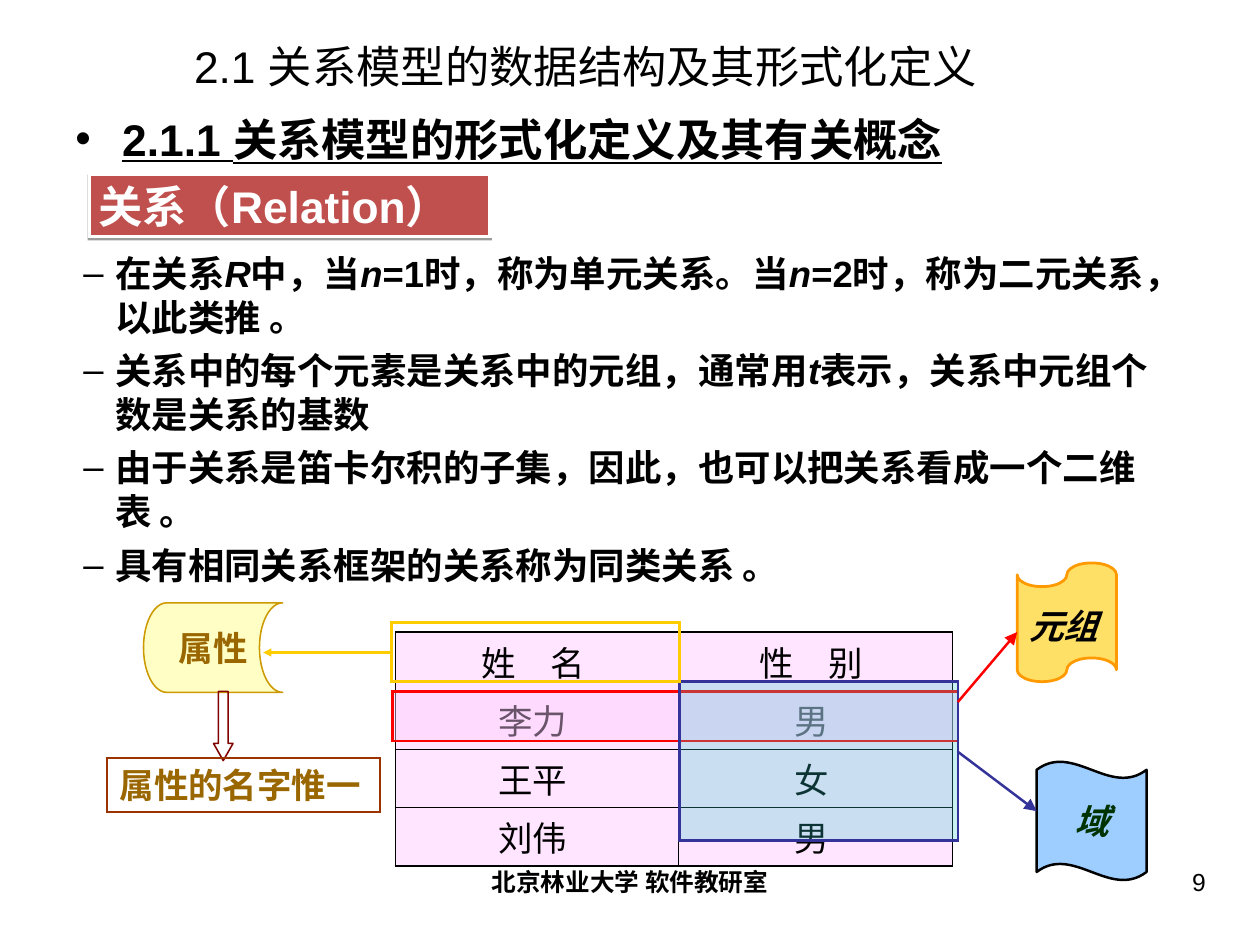
import pptx
import pptx.util
import pptx.dml.color
import pptx.enum.shapes
import pptx.enum.text
import pptx.oxml
import pptx.oxml.ns

Inches, Pt = pptx.util.Inches, pptx.util.Pt
SHAPE = pptx.enum.shapes.MSO_SHAPE
ALIGN = pptx.enum.text.PP_ALIGN
ANCHOR = pptx.enum.text.MSO_ANCHOR
LATIN, CJK = "Arial", "Noto Sans CJK SC"

# Content: *...* marks italic text
TITLE = "2.1 关系模型的数据结构及其形式化定义"
HEADING = "2.1.1 关系模型的形式化定义及其有关概念"
TOPIC = "关系（Relation）"
POINTS = [
    "在关系*R*中，当*n*=1时，称为单元关系。当*n*=2时，称为二元关系，以此类推 。",
    "关系中的每个元素是关系中的元组，通常用*t*表示，关系中元组个数是关系的基数",
    "由于关系是笛卡尔积的子集，因此，也可以把关系看成一个二维表 。",
    "具有相同关系框架的关系称为同类关系 。",
]
ROWS = [("姓　名", "性　别"), ("李力", "男"), ("王平", "女"), ("刘伟", "男")]
FOOTER, NUMBER = "北京林业大学 软件教研室", "9"

# Table geometry
TABLE_LEFT, TABLE_TOP, ROW_H = 4.46, 7.13, 0.66
COL_WIDTHS = [3.2, 3.09]

# Shapes: name -> kind, box, fill, opacity, line, line width
SHAPES = {
    "tape": (SHAPE.FLOWCHART_PUNCHED_TAPE, (11.48, 6.35, 1.12, 1.34), "FFCC00", 60, "FF9900", 2.25),
    "tuple row": (SHAPE.RECTANGLE, (4.43, 7.8, 6.38, 0.56), "FFCCFF", 41, "FF0000", 2),
    "domain column": (SHAPE.RECTANGLE, (7.67, 7.69, 3.14, 1.79), "33CCCC", 26, "333399", 2),
    "domain": (SHAPE.WAVE, (11.7, 8.59, 1.24, 1.34), "99CCFF", 95, "000000", 2),
    "attribute cell": (SHAPE.RECTANGLE, (4.42, 7.02, 3.25, 0.67), None, 100, "FFCC00", 2.25),
    "attribute": (SHAPE.FLOWCHART_STORED_DATA, (1.62, 6.8, 1.57, 1.01), "FFFF99", 57, "CC9900", 1.25),
    "down arrow": (SHAPE.DOWN_ARROW, (2.41, 7.8, 0.22, 0.78), None, 100, "800000", 1.25),
    "unique name": (SHAPE.RECTANGLE, (1.21, 8.55, 3.08, 0.61), None, 100, "993300", 2),
    "topic": (SHAPE.RECTANGLE, (1.01, 1.97, 4.52, 0.7), "C0504D", 100, "FFFFFF", 3),
}
ADJUSTMENTS = {"domain": [0.07, 0], "down arrow": [0.5, 0.88]}
# Labels: shape name -> text, format, alignment, anchor
LABELS = {
    "domain": ("*域*", {"size": 28, "color": "003300", "bold": True}, ALIGN.CENTER, ANCHOR.MIDDLE),
    "attribute": ("属性", {"size": 28, "color": "996600", "bold": True}, ALIGN.CENTER, ANCHOR.MIDDLE),
    "unique name": ("属性的名字惟一", {"size": 28, "color": "996600", "bold": True}, ALIGN.LEFT, ANCHOR.TOP),
    "topic": (TOPIC, {"size": 36, "color": "FFFFFF", "bold": True}, ALIGN.LEFT, ANCHOR.TOP),
}
# Arrows: from, to, colour, width, head size
ARROWS = [
    ((10.81, 7.92), (11.48, 7.13), "FF0000", 2, "lg"),
    ((10.81, 8.48), (11.7, 9.15), "333399", 2, "lg"),
    ((4.42, 7.36), (2.97, 7.36), "FFCC00", 2.25, "med"),
]


def rgb(value):
    return pptx.dml.color.RGBColor.from_string(value)


def add_xml(parent, tag, **attrs):
    child = parent.makeelement(pptx.oxml.ns.qn(tag), attrs)
    parent.append(child)
    return child


def set_fill(fill, owner, color, opacity=100):
    if color is None:
        fill.background()
        return
    fill.solid()
    fill.fore_color.rgb = rgb(color)
    if opacity < 100:
        clr = owner.find(pptx.oxml.ns.qn("a:solidFill"))[0]
        add_xml(clr, "a:alpha", val=str(opacity * 1000))


def write(p, text, fmt, font=LATIN):
    for i, piece in enumerate(text.split("*")):
        if not piece:
            continue
        r = p.add_run()
        r.text = piece
        style = {"name": font, "italic": i % 2 == 1, **fmt}
        style["size"] = Pt(style["size"])
        r.font.color.rgb = rgb(style.pop("color", "000000"))
        for key, value in style.items():
            setattr(r.font, key, value)
        add_xml(r._r.get_or_add_rPr(), "a:ea", typeface=CJK)


def set_frame(tf, anchor=ANCHOR.TOP, side=0.14, edge=0.07, wrap=True):
    values = {"word_wrap": wrap, "vertical_anchor": anchor,
              "margin_left": Inches(side), "margin_right": Inches(side),
              "margin_top": Inches(edge), "margin_bottom": Inches(edge)}
    for key, value in values.items():
        setattr(tf, key, value)


def add_text(s, box, lines, fmt, align=ALIGN.LEFT, bullet=None, indent=0):
    tf = s.shapes.add_textbox(*map(Inches, box)).text_frame
    set_frame(tf)
    for i, line in enumerate(lines):
        p = tf.paragraphs[0] if i == 0 else tf.add_paragraph()
        p.alignment = align
        if bullet:
            pPr = p._p.get_or_add_pPr()
            pPr.set("marL", str(Inches(indent)))
            pPr.set("indent", str(-Inches(indent)))
            add_xml(pPr, "a:buFont", typeface=LATIN)
            add_xml(pPr, "a:buChar", char=bullet)
        if i:
            p.space_before = Pt(8)
        write(p, line, fmt)


def add_shape(s, name):
    kind, box, fill, opacity, line, width = SHAPES[name]
    sp = s.shapes.add_shape(kind, *map(Inches, box))
    sp.shadow.inherit = False
    set_fill(sp.fill, sp._element.spPr, fill, opacity)
    sp.line.color.rgb = rgb(line)
    sp.line.width = Pt(width)
    if kind == SHAPE.RECTANGLE:
        add_xml(sp.line._get_or_add_ln(), "a:miter", lim="800000")
    for i, value in enumerate(ADJUSTMENTS.get(name, [])):
        sp.adjustments[i] = value
    if name in LABELS:
        text, fmt, align, anchor = LABELS[name]
        side, edge = (0.1, 0.05) if name == "topic" else (0.14, 0.07)
        set_frame(sp.text_frame, anchor, side, edge, wrap=align == ALIGN.LEFT)
        p = sp.text_frame.paragraphs[0]
        p.alignment = align
        write(p, text, fmt)
    return sp


def add_arrow(s, start, end, color, width, head):
    cn = s.shapes.add_connector(pptx.enum.shapes.MSO_CONNECTOR.STRAIGHT,
                                *map(Inches, start + end))
    cn.line.color.rgb = rgb(color)
    cn.line.width = Pt(width)
    add_xml(cn.line._get_or_add_ln(), "a:tailEnd", type="triangle", w=head, len=head)
    add_xml(cn._element.spPr, "a:effectLst")


def add_relation_table(s):
    n_rows, n_cols = len(ROWS), len(COL_WIDTHS)
    box = (TABLE_LEFT, TABLE_TOP, sum(COL_WIDTHS), ROW_H * n_rows)
    table = s.shapes.add_table(n_rows, n_cols, *map(Inches, box)).table
    table.first_row = table.horz_banding = False
    for col, width in zip(table.columns, COL_WIDTHS):
        col.width = Inches(width)
    for i, row in enumerate(ROWS):
        table.rows[i].height = Inches(ROW_H)
        for j, text in enumerate(row):
            cell = table.cell(i, j)
            cell.margin_left, cell.margin_right = Inches(0.14), Inches(0.23)
            cell.margin_top = cell.margin_bottom = Inches(0.05)
            p = cell.text_frame.paragraphs[0]
            p.alignment = ALIGN.CENTER
            write(p, text, {"size": 28}, CJK)
            # Borders: heavier on the outside
            tcPr = cell._tc.get_or_add_tcPr()
            outer = {"L": j == 0, "R": j == n_cols - 1, "T": i == 0, "B": i == n_rows - 1}
            for side, is_outer in outer.items():
                ln = add_xml(tcPr, "a:ln" + side, w=str(Pt(1.08 if is_outer else 0.45)))
                add_xml(add_xml(ln, "a:solidFill"), "a:srgbClr", val="000000")
            set_fill(cell.fill, tcPr, "FFCCFF", 50)


def main():
    prs = pptx.Presentation()
    prs.slide_width, prs.slide_height = Inches(14.22), Inches(10.66)
    s = prs.slides.add_slide(prs.slide_layouts[5])

    # Title, heading and points
    title = s.shapes.title
    title.left, title.top, title.width, title.height = map(Inches, (2.05, 0.46, 11.83, 0.57))
    set_frame(title.text_frame, ANCHOR.MIDDLE)
    title.text_frame.paragraphs[0].alignment = ALIGN.LEFT
    write(title.text_frame.paragraphs[0], TITLE, {"size": 36})
    add_text(s, (0.71, 1.19, 12.8, 0.89), [HEADING],
             {"size": 36, "bold": True, "underline": True}, bullet="•", indent=0.53)
    add_text(s, (0.8, 2.76, 12.53, 4.06), POINTS,
             {"size": 29.6, "bold": True}, bullet="–", indent=0.36)

    # Footer
    add_text(s, (4.86, 9.71, 4.5, 0.74), [FOOTER], {"size": 20, "bold": True}, ALIGN.CENTER)
    add_text(s, (10.19, 9.71, 3.56, 0.74), [NUMBER], {"size": 20}, ALIGN.RIGHT)

    # Table with its call-outs
    add_relation_table(s)
    shapes = {name: add_shape(s, name) for name in SHAPES}
    for arrow in ARROWS:
        add_arrow(s, *arrow)
    add_text(s, (11.48, 6.76, 1.23, 0.61), ["*元组*"], {"size": 28, "bold": True})

    # Shadow below the topic bar
    effects = shapes["topic"]._element.spPr.find(pptx.oxml.ns.qn("a:effectLst"))
    shadow = add_xml(effects, "a:outerShdw", blurRad="0", dist=str(Pt(1.6)),
                     dir="5400000", rotWithShape="0")
    add_xml(add_xml(shadow, "a:srgbClr", val="000000"), "a:alpha", val="38000")

    prs.save("out.pptx")


if __name__ == "__main__":
    main()
